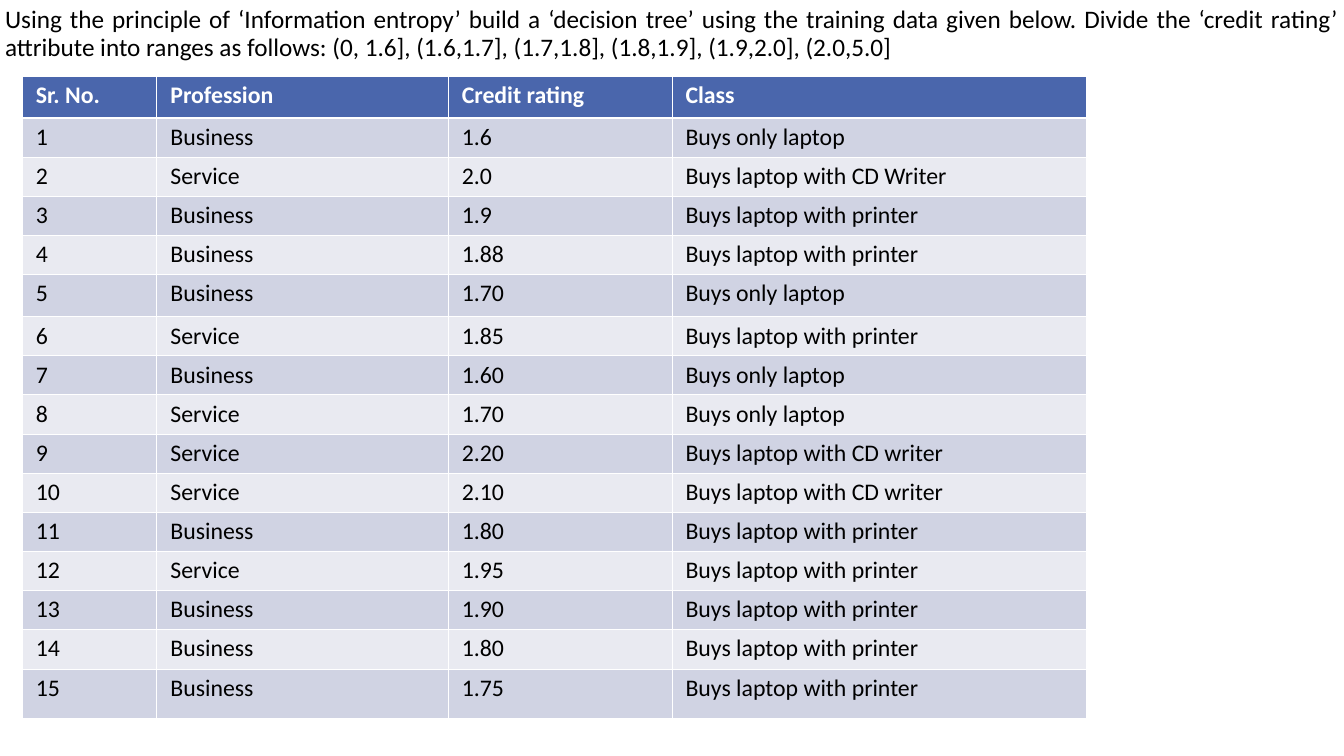
from lxml import etree
from pptx import Presentation
from pptx.dml.color import RGBColor
from pptx.enum.text import MSO_ANCHOR, MSO_AUTO_SIZE, PP_ALIGN
from pptx.oxml.ns import qn
from pptx.util import Inches, Pt

MIDDLE = MSO_ANCHOR.MIDDLE
NO_FIT = MSO_AUTO_SIZE.NONE
JUSTIFY = PP_ALIGN.JUSTIFY
FONT = "Calibri"
COLORS = {
    "head": "4A66AC",
    "odd": "D0D3E3",
    "even": "E9EAF1",
    "ink": "000000",
    "white": "FFFFFF",
}

TITLE = (
    "Using the principle of ‘Information entropy’ build a ‘decision tree’ "
    "using the training data given below. Divide the ‘credit rating’ "
    "attribute into ranges as follows: (0, 1.6], (1.6,1.7], (1.7,1.8], "
    "(1.8,1.9], (1.9,2.0], (2.0,5.0]"
)
HEADS = ("Sr. No.", "Profession", "Credit rating", "Class")
ONLY = "Buys only laptop"
PRINT = "Buys laptop with printer"
WRITE = "Buys laptop with CD writer"
DATA = [
    ("Business", "1.6", ONLY),
    ("Service", "2.0", "Buys laptop with CD Writer"),
    ("Business", "1.9", PRINT),
    ("Business", "1.88", PRINT),
    ("Business", "1.70", ONLY),
    ("Service", "1.85", PRINT),
    ("Business", "1.60", ONLY),
    ("Service", "1.70", ONLY),
    ("Service", "2.20", WRITE),
    ("Service", "2.10", WRITE),
    ("Business", "1.80", PRINT),
    ("Service", "1.95", PRINT),
    ("Business", "1.90", PRINT),
    ("Business", "1.80", PRINT),
    ("Business", "1.75", PRINT),
]
WIDTHS = (2.67, 5.78, 4.44, 8.22)
ROW = 0.77
TALL = {0: 0.83, 5: 0.84, 14: 0.79, 15: 0.97}  # rows unlike the rest


def color(name):
    return RGBColor.from_string(COLORS[name])


def style(para, size, ink, bold=False):
    font = para.font
    font.name, font.size, font.bold = FONT, Pt(size), bold
    font.color.rgb = color(ink)


def edge(cell, side, width):
    """Draw one white cell border; borders come before the fill in tcPr."""
    props = cell._tc.get_or_add_tcPr()
    line = etree.SubElement(props, qn(f"a:ln{side}"), w=str(Pt(width)))
    fill = etree.SubElement(line, qn("a:solidFill"))
    etree.SubElement(fill, qn("a:srgbClr"), val=COLORS["white"])


def add_title(slide, left, top, width, height):
    title = slide.shapes.title
    title.left, title.top = Inches(left), Inches(top)
    title.width, title.height = Inches(width), Inches(height)
    frame = title.text_frame
    frame.text = TITLE
    frame.word_wrap = True
    frame.auto_size = NO_FIT
    frame.vertical_anchor = MIDDLE
    para = frame.paragraphs[0]
    para.alignment = JUSTIFY
    para.line_spacing = 0.9
    style(para, 36, "ink")


def fill_cell(cell, text, row):
    head = row == 0
    cell.text = text
    cell.margin_left = cell.margin_right = Inches(0.27)
    cell.margin_top = cell.margin_bottom = Inches(0.1)
    style(cell.text_frame.paragraphs[0], 34, "white" if head else "ink", head)
    for side in "LRTB":
        thick = (head and side == "B") or (row == 1 and side == "T")
        edge(cell, side, 3 if thick else 1)
    cell.fill.solid()
    band = "head" if head else ("even", "odd")[row % 2]
    cell.fill.fore_color.rgb = color(band)


def add_grid(slide, left, top):
    rows = [HEADS] + [(str(n), *rec) for n, rec in enumerate(DATA, 1)]
    highs = [TALL.get(n, ROW) for n in range(len(rows))]
    table = slide.shapes.add_table(
        len(rows), len(WIDTHS), Inches(left), Inches(top),
        Inches(sum(WIDTHS)), Inches(sum(highs)),
    ).table
    for col, width in zip(table.columns, WIDTHS):
        col.width = Inches(width)
    for n, (texts, high) in enumerate(zip(rows, highs)):
        table.rows[n].height = Inches(high)
        for c, text in enumerate(texts):
            fill_cell(table.cell(n, c), text, n)


def main():
    deck = Presentation()
    deck.slide_width, deck.slide_height = Inches(26.66), Inches(15)
    slide = deck.slides.add_slide(deck.slide_layouts[5])
    # Task statement
    add_title(slide, 0, -0.02, 26.66, 1.4)
    # Training data
    add_grid(slide, 0.44, 1.51)
    deck.save("out.pptx")


if __name__ == "__main__":
    main()
